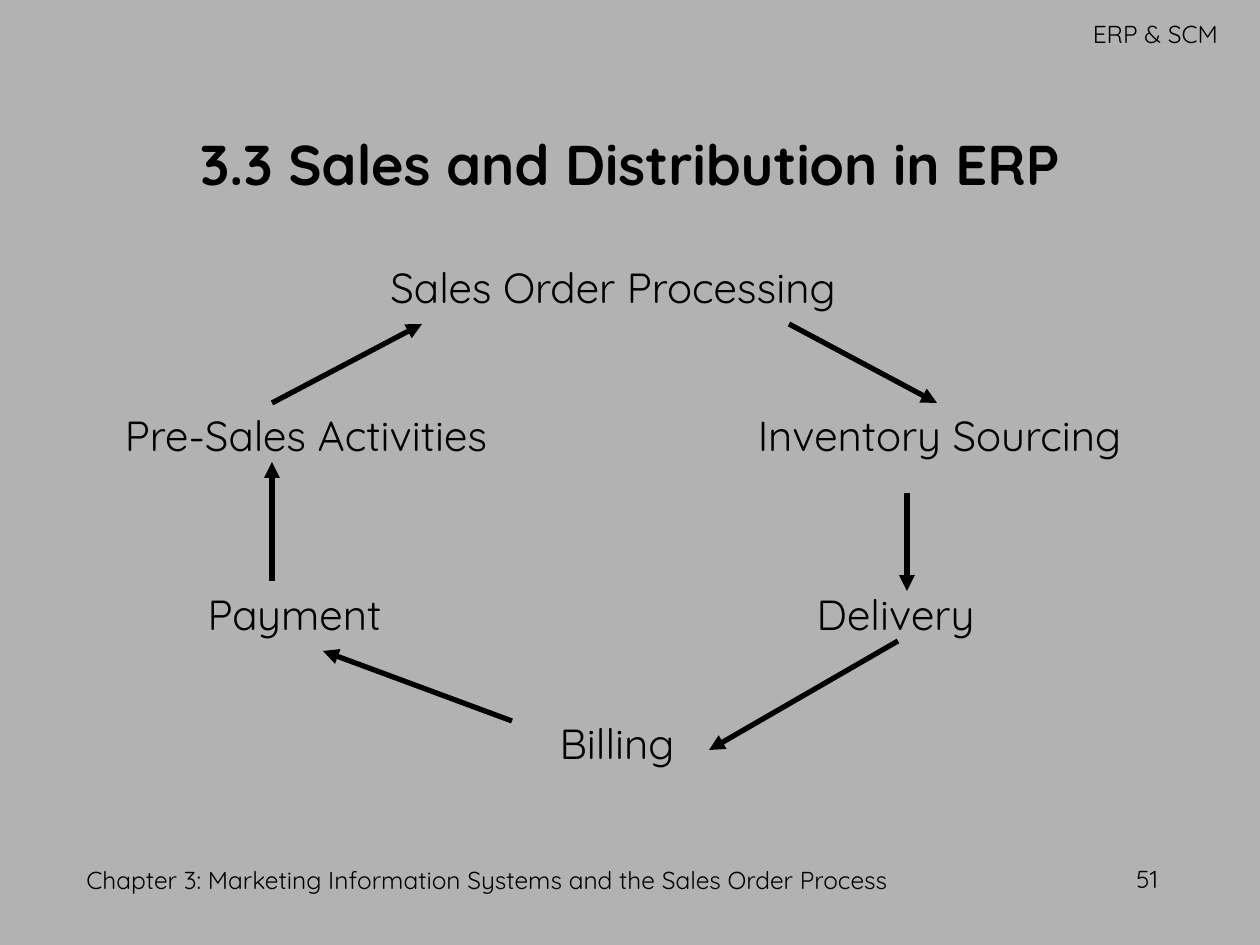
import dataclasses
import typing

import lxml.etree
import pptx
import pptx.dml.color
import pptx.enum.shapes
import pptx.enum.text
import pptx.oxml.ns
import pptx.slide
import pptx.util

ALIGN = pptx.enum.text.PP_ALIGN
ANCHOR = pptx.enum.text.MSO_ANCHOR
SCALE = 914400 / 126


@dataclasses.dataclass(frozen=True)
class Theme:
    face: str = "Quicksand"
    ink: pptx.dml.color.RGBColor = pptx.dml.color.RGBColor(0, 0, 0)
    back: pptx.dml.color.RGBColor = pptx.dml.color.RGBColor(0xB2, 0xB2, 0xB2)
    title: int = 32
    step: int = 24
    small: int = 14
    line: int = 3


THEME = Theme()


@dataclasses.dataclass(frozen=True)
class Label:
    text: str
    left: int
    top: int
    width: int
    height: int
    size: int = THEME.step
    bold: bool = False
    wrap: bool = False
    align: ALIGN = ALIGN.CENTER
    anchor: ANCHOR = ANCHOR.TOP


class Arrow(typing.NamedTuple):
    x1: int
    y1: int
    x2: int
    y2: int


LABELS = [
    Label("51", 1124, 858, 55, 42, THEME.small, align=ALIGN.LEFT),
    Label("ERP & SCM", 1075, 13, 161, 42, THEME.small),
    Label("Chapter 3: Marketing Information Systems and the Sales Order Process",
          74, 859, 893, 63, THEME.small, wrap=True, align=ALIGN.LEFT),
    Label("3.3 Sales and Distribution in ERP", 95, 84, 1071, 158, THEME.title,
          bold=True, wrap=True, anchor=ANCHOR.MIDDLE),
    Label("Pre-Sales Activities", 95, 403, 422, 63),
    Label("Payment", 193, 582, 203, 63),
    Label("Billing", 541, 711, 152, 63),
    Label("Delivery", 799, 582, 193, 63),
    Label("Inventory Sourcing", 733, 403, 413, 63),
    Label("Sales Order Processing", 358, 255, 510, 63),
]

ARROWS = [
    Arrow(272, 403, 422, 324),
    Arrow(789, 324, 937, 403),
    Arrow(907, 493, 907, 591),
    Arrow(898, 641, 709, 750),
    Arrow(512, 721, 323, 651),
    Arrow(272, 581, 272, 462),
]


def px(size: int) -> pptx.util.Emu:
    return pptx.util.Emu(round(size * SCALE))


def add_label(slide: pptx.slide.Slide, label: Label) -> None:
    box = slide.shapes.add_textbox(
        px(label.left), px(label.top), px(label.width), px(label.height))
    frame = box.text_frame
    frame.word_wrap = label.wrap
    frame.vertical_anchor = label.anchor
    para = frame.paragraphs[0]
    para.text = label.text
    para.alignment = label.align
    font = para.font
    font.name = THEME.face
    font.size = pptx.util.Pt(label.size)
    font.bold = label.bold
    font.color.rgb = THEME.ink


def add_arrow(slide: pptx.slide.Slide, arrow: Arrow) -> None:
    link = slide.shapes.add_connector(
        pptx.enum.shapes.MSO_CONNECTOR.STRAIGHT, *map(px, arrow))
    link.line.color.rgb = THEME.ink
    link.line.width = pptx.util.Pt(THEME.line)
    props = link._element.spPr
    qn = pptx.oxml.ns.qn
    lxml.etree.SubElement(props.find(qn("a:ln")), qn("a:tailEnd"), type="triangle")
    lxml.etree.SubElement(props, qn("a:effectLst"))


def main() -> None:
    deck = pptx.Presentation()
    deck.slide_width = px(1260)
    deck.slide_height = px(945)
    slide = deck.slides.add_slide(deck.slide_layouts[6])
    fill = slide.background.fill
    fill.solid()
    fill.fore_color.rgb = THEME.back
    for label in LABELS:
        add_label(slide, label)
    for arrow in ARROWS:
        add_arrow(slide, arrow)
    deck.save("out.pptx")


if __name__ == "__main__":
    main()
